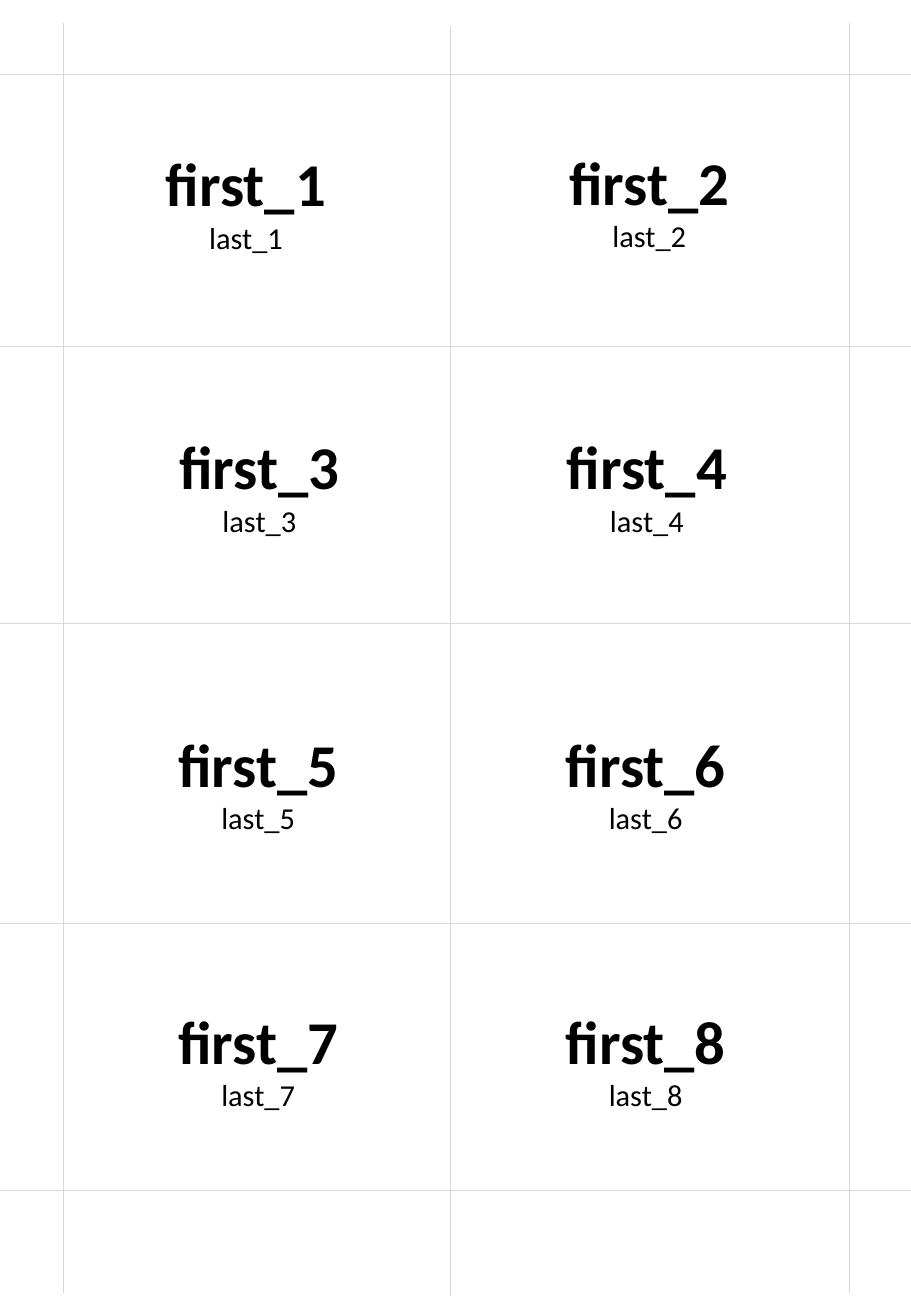
from pptx import Presentation
from pptx import util as u
from pptx.dml import color
from pptx.enum import shapes, text
from pptx.oxml import ns, xmlchemy

WIDTH, HEIGHT = 540, 779.76
CARD_W, CARD_H = 226.8, 72.72
COLUMN_LINES = [(37.44, 13.68), (267.12, 15.12), (503.28, 13.68)]
COLUMN_LENGTH = 752.75
ROW_LINES = [43.92, 205.2, 369.36, 547.2, 705.6]
CARDS = [
    (32.4, 82.8), (271.44, 82.08),
    (40.32, 250.56), (270, 250.56),
    (39.6, 426.96), (269.28, 426.96),
    (39.6, 591.12), (269.28, 591.12),
]


def rgb(value):
    return color.RGBColor.from_string(value)


class NameCards:
    font = "Calibri"
    ink = "000000"
    rule = "D9D9D9"

    def __init__(self, slide):
        self.s = slide

    def cut_line(self, x1, y1, x2, y2):
        c = self.s.shapes.add_connector(
            shapes.MSO_CONNECTOR.STRAIGHT, u.Pt(x1), u.Pt(y1), u.Pt(x2), u.Pt(y2))
        c.line.color.rgb = rgb(self.rule)
        c.line.width = u.Pt(0.5)
        c._element.spPr.append(xmlchemy.OxmlElement("a:effectLst"))

    def run(self, p, words, size, bold):
        p.alignment = text.PP_ALIGN.CENTER
        r = p.add_run()
        r.text = words
        r.font.name = self.font
        r.font.size = u.Pt(size)
        r.font.bold = bold
        r.font.color.rgb = rgb(self.ink)

    def card(self, x, y, first, last):
        sp = self.s.shapes.add_textbox(u.Pt(x), u.Pt(y), u.Pt(CARD_W), u.Pt(CARD_H))
        tf = sp.text_frame
        tf.word_wrap = True
        tf.auto_size = text.MSO_AUTO_SIZE.SHAPE_TO_FIT_TEXT
        self.run(tf.paragraphs[0], first, 36, True)
        self.run(tf.add_paragraph(), last, 18, False)


def main():
    prs = Presentation()
    prs.slide_width, prs.slide_height = u.Pt(WIDTH), u.Pt(HEIGHT)
    sheet = NameCards(prs.slides.add_slide(prs.slide_layouts[6]))
    for x, top in COLUMN_LINES:
        sheet.cut_line(x, top, x, top + COLUMN_LENGTH)
    for y in ROW_LINES:
        sheet.cut_line(0, y, WIDTH, y)
    for n, (x, y) in enumerate(CARDS, 1):
        sheet.card(x, y, f"first_{n}", f"last_{n}")
    prs.save("out.pptx")


if __name__ == "__main__":
    main()
